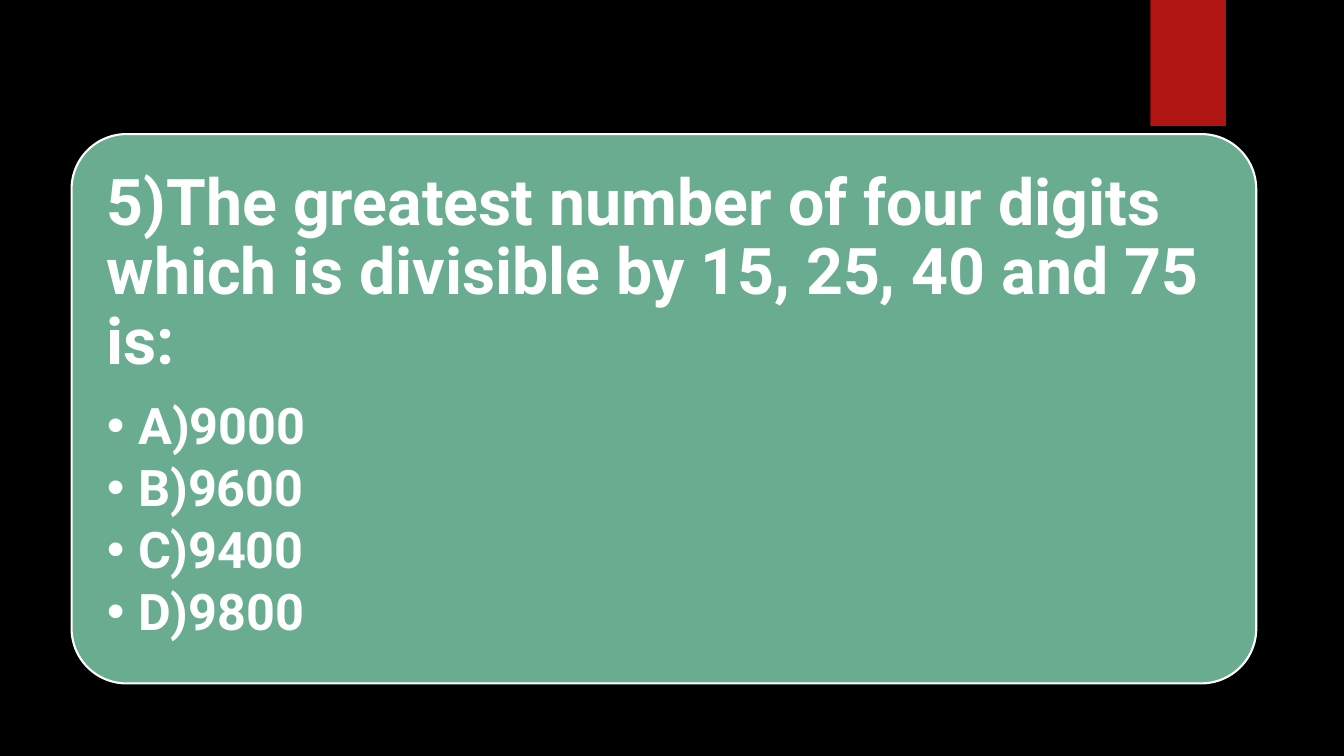
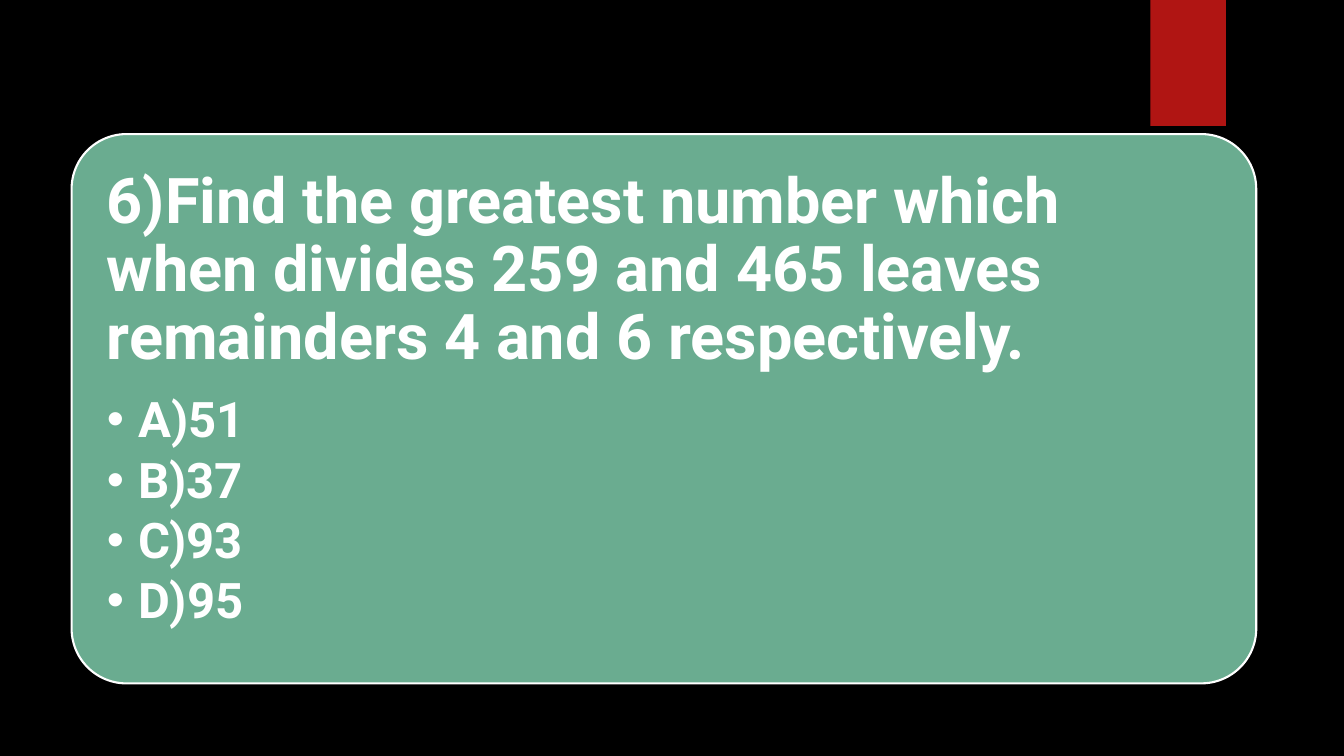
from lxml import etree
from pptx import Presentation
from pptx.dml.color import RGBColor
from pptx.enum.shapes import MSO_SHAPE
from pptx.enum.text import MSO_ANCHOR, MSO_AUTO_SIZE, PP_ALIGN
from pptx.oxml.ns import qn
from pptx.util import Inches, Pt

# Enum members
RECTANGLE = MSO_SHAPE.RECTANGLE
ROUNDED_RECTANGLE = MSO_SHAPE.ROUNDED_RECTANGLE
TOP = MSO_ANCHOR.TOP
LEFT = PP_ALIGN.LEFT
NO_AUTOFIT = MSO_AUTO_SIZE.NONE

# Colours and font
BLACK = RGBColor(0x00, 0x00, 0x00)
WHITE = RGBColor(0xFF, 0xFF, 0xFF)
RED = RGBColor(0xB0, 0x15, 0x13)
GREEN = RGBColor(0x6A, 0xAC, 0x90)
FONT = "Roboto"

# Text area inside the card, in inches
TEXT_LEFT, TEXT_TOP, TEXT_WIDTH, TEXT_BOTTOM = 1.06, 1.68, 11.05, 6.43
BULLET_INDENT = 0.31

# Line spacing, and gaps as shares of the text size
LINE_SPACING = 0.9
LINE_PITCH = 1.08
QUESTION_LINES = 3
QUESTION_GAP = 0.35
OPTION_GAP = 0.15

# Question, its size, options, their size
QUESTIONS = [
    ("5)The greatest number of four digits which is divisible by 15, 25, 40 and 75 is:", 46,
     ["A)9000", "B)9600", "C)9400", "D)9800"], 36),
    ("6)Find the greatest number which when divides 259 and 465 leaves "
     "remainders 4 and 6 respectively.", 45,
     ["A)51", "B)37", "C)93", "D)95"], 35),
]


class QuizDeck:
    """Holds the style and the current slide."""

    def __init__(self):
        self.presentation = Presentation()
        self.presentation.slide_width = Inches(13.33)
        self.presentation.slide_height = Inches(7.5)
        background = self.presentation.slide_master.background.fill
        background.solid()
        background.fore_color.rgb = BLACK
        self.slide = None

    def add_slide(self):
        layout = self.presentation.slide_layouts.get_by_name("Title and Content")
        self.slide = self.presentation.slides.add_slide(layout)
        self.add_block(RECTANGLE, 11.41, 0, 0.75, 1.25, RED)
        card = self.add_block(ROUNDED_RECTANGLE, 0.71, 1.33, 11.75, 5.45, GREEN, WHITE)
        card.adjustments[0] = 0.1

    def add_block(self, kind, left, top, width, height, fill, line=None):
        shape = self.slide.shapes.add_shape(
            kind, Inches(left), Inches(top), Inches(width), Inches(height))
        shape.shadow.inherit = False
        shape.fill.solid()
        shape.fill.fore_color.rgb = fill
        if line is None:
            shape.line.fill.background()
        else:
            shape.line.color.rgb = line
            shape.line.width = Pt(1.5)
        return shape

    def place_text(self, shape, top, bottom):
        """Moves a placeholder onto the card and clears its margins."""
        shape.left, shape.top = Inches(TEXT_LEFT), Inches(top)
        shape.width, shape.height = Inches(TEXT_WIDTH), Inches(bottom - top)
        shape.element.getparent().append(shape.element)  # bring to front
        frame = shape.text_frame
        frame.margin_left = frame.margin_right = 0
        frame.margin_top = frame.margin_bottom = 0
        frame.word_wrap = True
        frame.auto_size = NO_AUTOFIT
        frame.vertical_anchor = TOP
        return frame

    def add_text(self, paragraph, text, size, gap=0):
        paragraph.alignment = LEFT
        paragraph.line_spacing = LINE_SPACING
        paragraph.space_before = Pt(0)
        paragraph.space_after = Pt(size * gap)
        run = paragraph.add_run()
        run.text = text
        run.font.name = FONT
        run.font.size = Pt(size)
        run.font.bold = True
        run.font.color.rgb = WHITE

    def add_question(self, text, size):
        """Adds the question and returns where the options start."""
        line_height = size * LINE_PITCH / 72
        bottom = TEXT_TOP + QUESTION_LINES * line_height
        frame = self.place_text(self.slide.shapes.title, TEXT_TOP, bottom)
        self.add_text(frame.paragraphs[0], text, size)
        return bottom + size * QUESTION_GAP / 72

    def add_options(self, options, size, top):
        frame = self.place_text(self.slide.placeholders[1], top, TEXT_BOTTOM)
        for index, option in enumerate(options):
            paragraph = frame.add_paragraph() if index else frame.paragraphs[0]
            properties = paragraph._p.get_or_add_pPr()
            properties.set("marL", str(Inches(BULLET_INDENT)))
            properties.set("indent", str(-Inches(BULLET_INDENT)))
            etree.SubElement(properties, qn("a:buChar")).set("char", "•")
            self.add_text(paragraph, option, size, OPTION_GAP)


def main():
    deck = QuizDeck()
    for question, question_size, options, option_size in QUESTIONS:
        deck.add_slide()
        options_top = deck.add_question(question, question_size)
        deck.add_options(options, option_size, options_top)
    deck.presentation.save("out.pptx")


if __name__ == "__main__":
    main()
